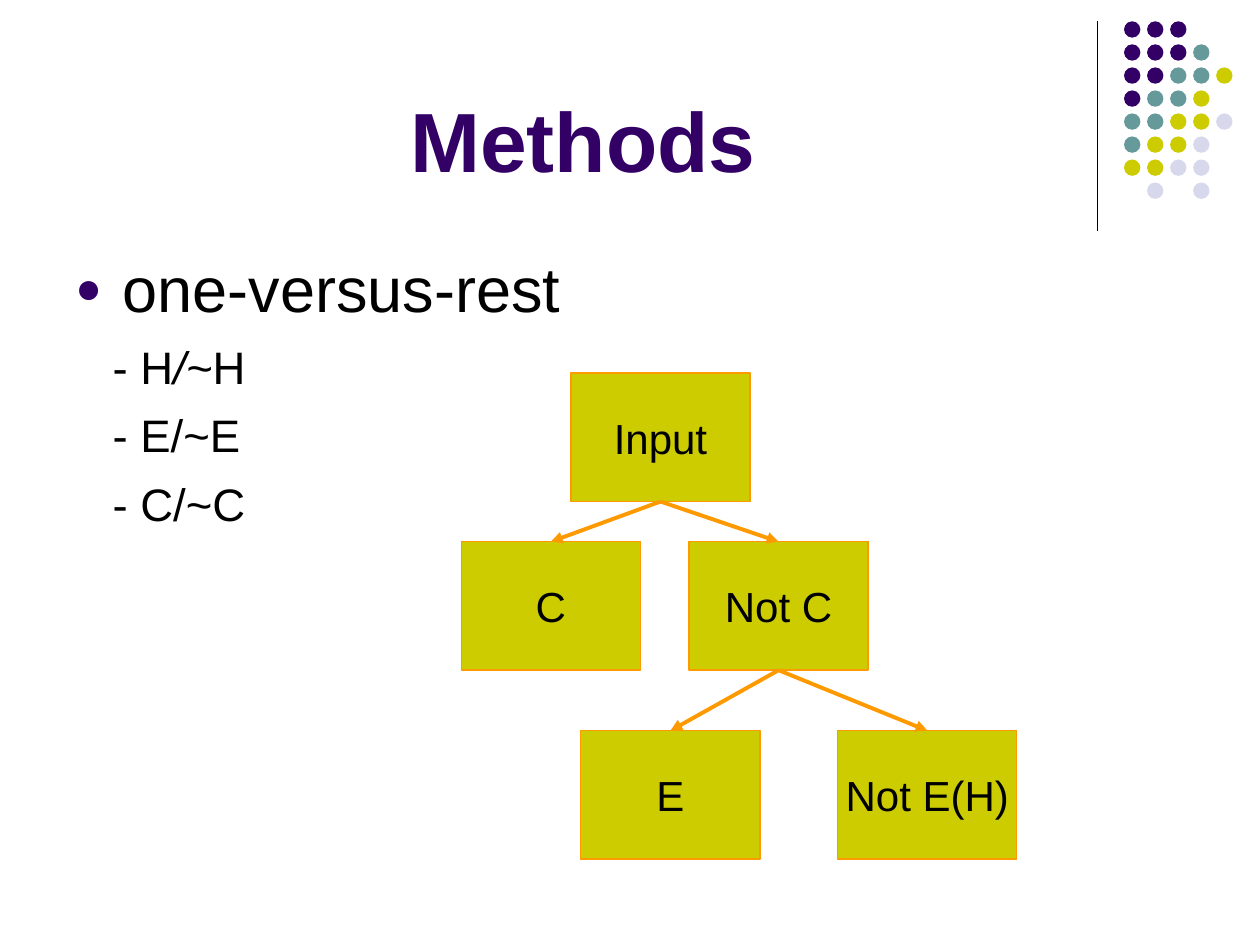
from lxml import etree
from pptx import Presentation
from pptx.dml.color import RGBColor
from pptx.enum.shapes import MSO_CONNECTOR, MSO_SHAPE
from pptx.enum.text import MSO_ANCHOR, PP_ALIGN
from pptx.oxml.ns import qn
from pptx.util import Cm, Pt

RECT, OVAL = MSO_SHAPE.RECTANGLE, MSO_SHAPE.OVAL
LINE = MSO_CONNECTOR.STRAIGHT
TOP, MID, LOW = MSO_ANCHOR.TOP, MSO_ANCHOR.MIDDLE, MSO_ANCHOR.BOTTOM
LEFT, MIDST = PP_ALIGN.LEFT, PP_ALIGN.CENTER
FONT = "Arial"

# Content
HUES = {"P": "330066", "T": "669999", "Y": "CCCC00", "L": "D8D8EC",
        "edge": "FF9900", "ink": "000000"}
DOTS = ["PPP", "PPPT", "PPTTY", "PTTY", "TTYYL", "TYYL", "YYLL", " L L"]
TITLE = "Methods"
HEAD = "one-versus-rest"
# Each item is a list of (text, italic) runs
ITEMS = [
    [("- H", False), ("/~", True), ("H", False)],
    [("- E/~E", False)],
    [("- C/~C", False)],
]
# Tree boxes: left, top in cm
NODES = {
    "Input": (11.51, 7.52),
    "C": (9.3, 10.92),
    "Not C": (13.89, 10.92),
    "E": (11.71, 14.73),
    "Not E(H)": (16.89, 14.73),
}
LINKS = [("Input", "C"), ("Input", "Not C"),
         ("Not C", "E"), ("Not C", "Not E(H)")]
WIDE, HIGH = 3.61, 2.59
DOT, STEP = 0.33, 3.25 / 7


def color(name):
    return RGBColor.from_string(HUES[name])


def add_run(para, text, size, hue="ink", bold=False, slant=False):
    run = para.add_run()
    run.text = text
    font = run.font
    font.name, font.size = FONT, Pt(size)
    font.bold, font.italic = bold, slant
    font.color.rgb = color(hue)


def set_frame(frame, anchor, wrap=True):
    frame.word_wrap = wrap
    frame.vertical_anchor = anchor
    frame.margin_left = frame.margin_right = Cm(0.25)
    frame.margin_top = frame.margin_bottom = Cm(0.13)
    return frame


def add_text(slide, left, top, wide, high, anchor):
    box = slide.shapes.add_textbox(Cm(left), Cm(top), Cm(wide), Cm(high))
    return set_frame(box.text_frame, anchor)


def add_bullet(para):
    props = para._p.get_or_add_pPr()
    props.set("marL", str(Cm(0.95)))
    props.set("indent", str(-Cm(0.95)))
    tint = etree.SubElement(props, qn("a:buClr"))
    etree.SubElement(tint, qn("a:srgbClr"), val=HUES["P"])
    etree.SubElement(props, qn("a:buSzPct"), val="70000")
    etree.SubElement(props, qn("a:buFont"), typeface=FONT)
    etree.SubElement(props, qn("a:buChar"), char="●")


def add_line(slide, start, end, hue, width):
    line = slide.shapes.add_connector(
        LINE, *(Cm(n) for n in (*start, *end)))
    line.line.color.rgb = color(hue)
    line.line.width = Pt(width)
    etree.SubElement(line._element.spPr, qn("a:effectLst"))
    return line


def add_dots(slide):
    group = slide.shapes.add_group_shape()
    for row, marks in enumerate(DOTS):
        for col, mark in enumerate(marks):
            if mark == " ":
                continue
            dot = group.shapes.add_shape(
                OVAL, Cm(22.66 + col * STEP), Cm(0.43 + row * STEP),
                Cm(DOT), Cm(DOT))
            dot.shadow.inherit = False
            dot.fill.solid()
            dot.fill.fore_color.rgb = color(mark)
            dot.line.fill.background()


def add_list(slide):
    frame = add_text(slide, 1.27, 4.78, 11.23, 12.24, TOP)
    frame.margin_top = Cm(0.26)
    para = frame.paragraphs[0]
    add_bullet(para)
    add_run(para, HEAD, 36)
    for runs in ITEMS:
        para = frame.add_paragraph()
        para.alignment = LEFT
        para._p.get_or_add_pPr().set("marL", str(Cm(0.75)))
        para.space_before = Pt(7.8)
        for text, slant in runs:
            add_run(para, text, 26, slant=slant)


def add_tree(slide):
    boxes = {}
    for name, (left, top) in NODES.items():
        box = slide.shapes.add_shape(
            RECT, Cm(left), Cm(top), Cm(WIDE), Cm(HIGH))
        box.shadow.inherit = False
        box.fill.solid()
        box.fill.fore_color.rgb = color("Y")
        box.line.color.rgb = color("edge")
        box.line.width = Pt(0.75)
        para = set_frame(box.text_frame, MID, wrap=False).paragraphs[0]
        para.alignment = MIDST
        add_run(para, name, 24)
        boxes[name] = box
    for source, target in LINKS:
        line = add_line(slide, (0, 0), (1, 1), "edge", 2.25)
        line.begin_connect(boxes[source], 2)
        line.end_connect(boxes[target], 0)
        etree.SubElement(line.line._get_or_add_ln(), qn("a:tailEnd"),
                         type="triangle")


def main():
    deck = Presentation()
    deck.slide_width, deck.slide_height = Cm(25.4), Cm(19.05)
    slide = deck.slides.add_slide(deck.slide_layouts[6])

    # Corner decoration
    add_line(slide, (22.12, 0.43), (22.12, 4.65), "ink", 0.75)
    add_dots(slide)

    # Title
    para = add_text(slide, 1.27, 0.33, 20.96, 3.61, LOW).paragraphs[0]
    para.alignment = MIDST
    add_run(para, TITLE, 48, "P", bold=True)

    # List and tree
    add_list(slide)
    add_tree(slide)
    deck.save("out.pptx")


if __name__ == "__main__":
    main()
